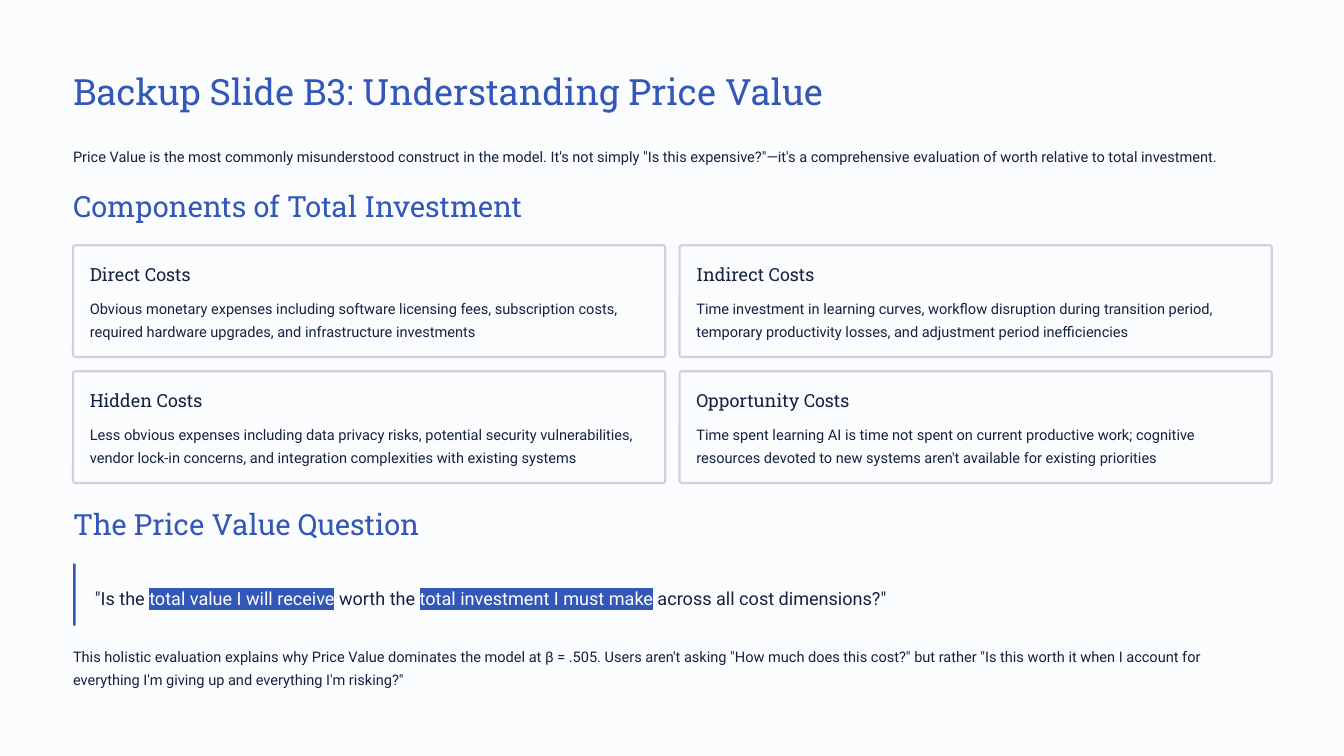
from lxml import etree
from pptx import Presentation
from pptx.dml.color import RGBColor
from pptx.enum.shapes import MSO_SHAPE
from pptx.oxml.ns import qn
from pptx.util import Inches, Pt

RECT = MSO_SHAPE.RECTANGLE
ROUNDED = MSO_SHAPE.ROUNDED_RECTANGLE

PAPER = RGBColor(0xFB, 0xFC, 0xFE)
BLUE = RGBColor(0x32, 0x57, 0xB8)
INK = RGBColor(0x15, 0x21, 0x3F)
BORDER = RGBColor(0xCF, 0xD2, 0xD8)
WHITE = RGBColor(0xFF, 0xFF, 0xFF)

# Content
TITLE = "Backup Slide B3: Understanding Price Value"
INTRO = ("Price Value is the most commonly misunderstood construct in the model. "
         "It's not simply \"Is this expensive?\"—it's a comprehensive evaluation "
         "of worth relative to total investment.")
COSTS_HEADING = "Components of Total Investment"
COSTS = [
    ("Direct Costs",
     "Obvious monetary expenses including software licensing fees, subscription "
     "costs, required hardware upgrades, and infrastructure investments"),
    ("Indirect Costs",
     "Time investment in learning curves, workflow disruption during transition "
     "period, temporary productivity losses, and adjustment period inefficiencies"),
    ("Hidden Costs",
     "Less obvious expenses including data privacy risks, potential security "
     "vulnerabilities, vendor lock-in concerns, and integration complexities "
     "with existing systems"),
    ("Opportunity Costs",
     "Time spent learning AI is time not spent on current productive work; "
     "cognitive resources devoted to new systems aren't available for existing "
     "priorities"),
]
QUESTION_HEADING = "The Price Value Question"
QUESTION = [  # (text, highlighted)
    ("\"Is the ", False),
    ("total value I will receive", True),
    (" worth the ", False),
    ("total investment I must make", True),
    (" across all cost dimensions?\"", False),
]
CLOSING = ("This holistic evaluation explains why Price Value dominates the model "
           "at β = .505. Users aren't asking \"How much does this cost?\" but rather "
           "\"Is this worth it when I account for everything I'm giving up and "
           "everything I'm risking?\"")

# Text styles: font, size, line spacing, colour
TITLE_STYLE = ("Roboto Slab", 31, 39, BLUE)
HEADING_STYLE = ("Roboto Slab", 25, 31, BLUE)
CARD_STYLE = ("Roboto Slab", 15.5, 19.5, INK)
BODY_STYLE = ("Roboto", 12.5, 20, INK)
QUESTION_STYLE = ("Roboto", 15.5, 25, INK)

# Layout in inches
LEFT, FULL_W = 0.87, 14.26
HEADING_W, HEADING_H = 5.6, 0.43
CARD_TOP, CARD_W, CARD_H = 2.92, 7.05, 1.33
COL_PITCH, ROW_PITCH = 7.22, 1.5
CARD_PAD, CARD_BODY_DY = 0.2, 0.58

prs = Presentation()
prs.slide_width, prs.slide_height = Inches(16), Inches(9)
slide = prs.slides.add_slide(prs.slide_layouts[6])
slide.background.fill.solid()
slide.background.fill.fore_color.rgb = PAPER


def add_text(parts, style, x, y, w, h, wrap=False):
    """Place one paragraph; parts is a string or (text, highlighted) pairs."""
    font_name, size, spacing, colour = style
    box = slide.shapes.add_textbox(Inches(x), Inches(y), Inches(w), Inches(h))
    frame = box.text_frame
    frame.margin_left = frame.margin_right = 0
    frame.margin_top = frame.margin_bottom = 0
    frame.word_wrap = wrap
    line = frame.paragraphs[0]
    line.line_spacing = Pt(spacing)
    line.font.name = font_name
    line.font.size = Pt(size)
    line.font.color.rgb = colour
    if isinstance(parts, str):
        parts = [(parts, False)]
    for text, highlighted in parts:
        run = line.add_run()
        run.text = text
        if highlighted:
            run.font.color.rgb = WHITE
            mark = etree.SubElement(run.font._element, qn("a:highlight"))
            etree.SubElement(mark, qn("a:srgbClr"), val=str(BLUE))


def add_panel(kind, fill, x, y, w, h):
    panel = slide.shapes.add_shape(kind, Inches(x), Inches(y), Inches(w), Inches(h))
    panel.shadow.inherit = False
    panel.fill.solid()
    panel.fill.fore_color.rgb = fill
    panel.line.fill.background()
    return panel


# Title and introduction
add_text(TITLE, TITLE_STYLE, LEFT, 0.8, 9, 0.54)
add_text(INTRO, BODY_STYLE, LEFT, 1.69, FULL_W, 0.28)

# Cost cards, two by two
add_text(COSTS_HEADING, HEADING_STYLE, LEFT, 2.23, HEADING_W, HEADING_H)
for i, (cost, description) in enumerate(COSTS):
    row, col = divmod(i, 2)
    x = LEFT + col * COL_PITCH
    y = CARD_TOP + row * ROW_PITCH
    card = add_panel(ROUNDED, PAPER, x, y, CARD_W, CARD_H)
    card.adjustments[0] = 0.02
    card.line.color.rgb = BORDER
    card.line.width = Pt(1.8)
    text_x = x + CARD_PAD
    add_text(cost, CARD_STYLE, text_x, y + CARD_PAD, 2.17, 0.27)
    add_text(description, BODY_STYLE, text_x, y + CARD_BODY_DY,
             CARD_W - 2 * CARD_PAD, 0.56, wrap=True)

# Question with its side bar, then the closing remark
add_text(QUESTION_HEADING, HEADING_STYLE, LEFT, 6.01, HEADING_W, HEADING_H)
add_text(QUESTION, QUESTION_STYLE, 1.13, 6.9, 14, 0.35)
add_panel(RECT, BLUE, LEFT, 6.71, 0.03, 0.74)
add_text(CLOSING, BODY_STYLE, LEFT, 7.64, FULL_W, 0.56, wrap=True)

prs.save("out.pptx")
